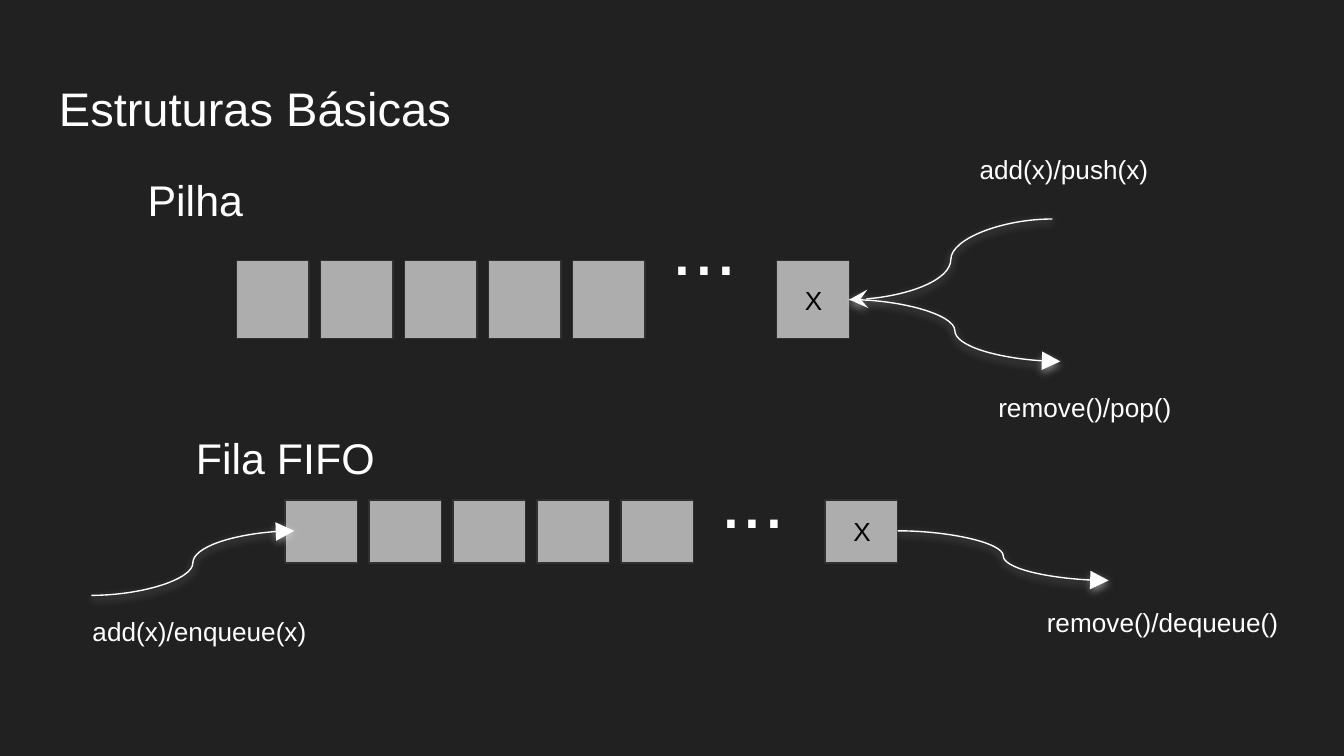
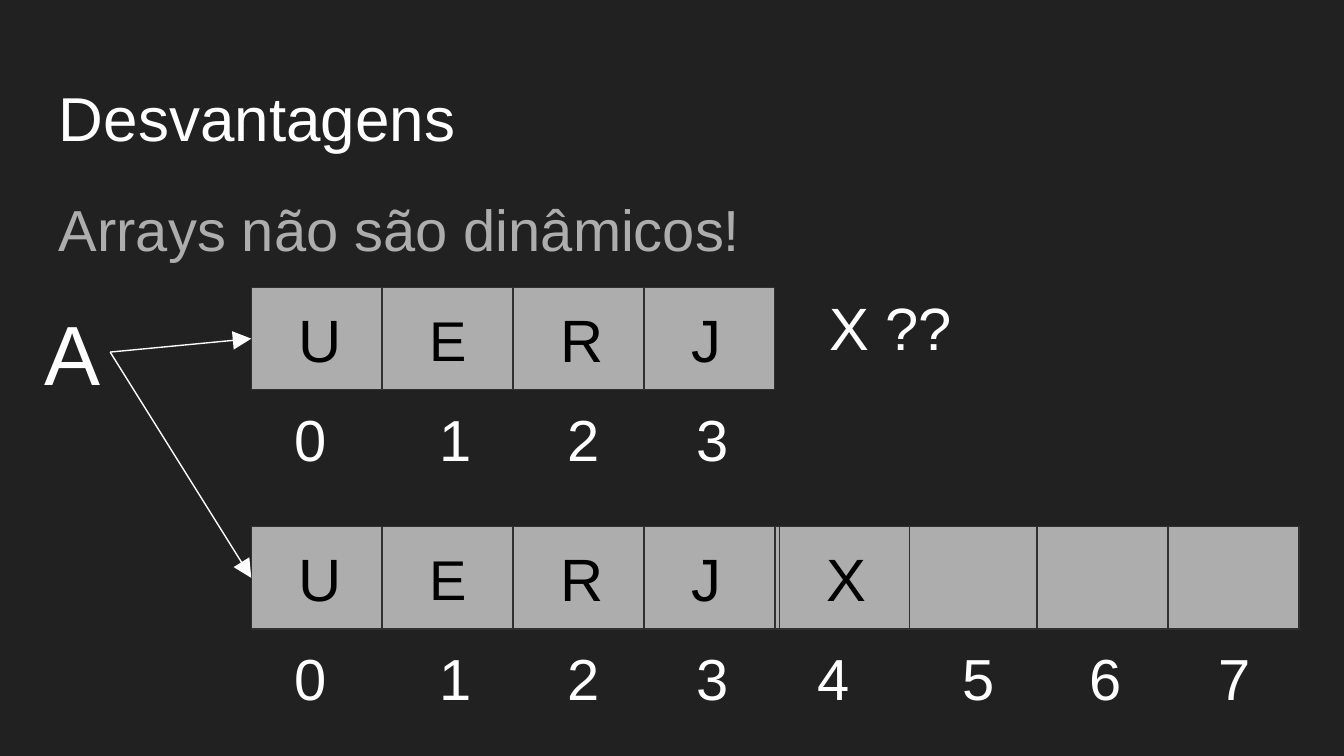
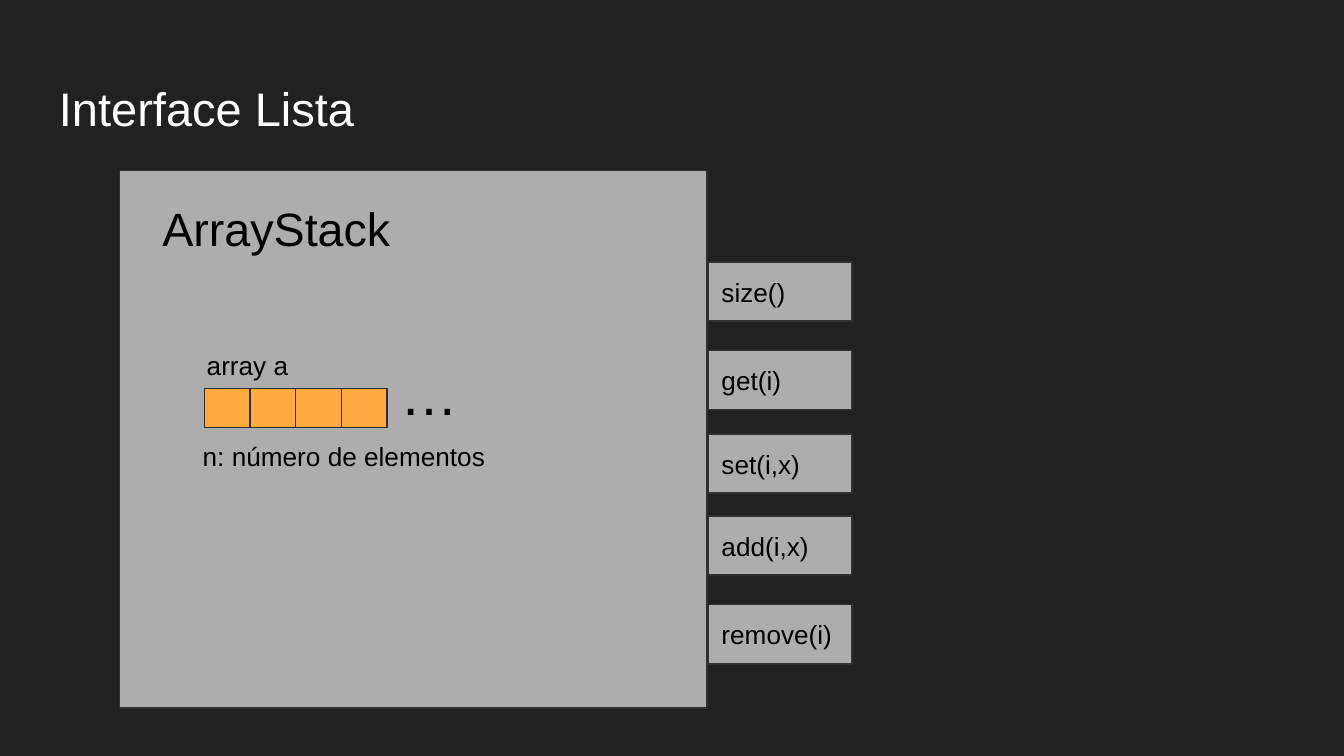
from dataclasses import dataclass

from lxml import etree
from pptx import Presentation
from pptx.dml.color import RGBColor
from pptx.enum.shapes import MSO_CONNECTOR, MSO_SHAPE
from pptx.enum.text import MSO_ANCHOR, PP_ALIGN
from pptx.oxml.ns import qn
from pptx.util import Inches, Pt

RECTANGLE = MSO_SHAPE.RECTANGLE
STRAIGHT, CURVE = MSO_CONNECTOR.STRAIGHT, MSO_CONNECTOR.CURVE
TOP, MIDDLE = MSO_ANCHOR.TOP, MSO_ANCHOR.MIDDLE
LEFT = PP_ALIGN.LEFT

# Shared look, 16:9
SLIDE_WIDTH = 10
SLIDE_HEIGHT = SLIDE_WIDTH * 9 / 16
FONT = "Arial"
BACKGROUND, WHITE, BLACK = "212121", "FFFFFF", "000000"
GREY, OUTLINE, ORANGE, GLOW = "ADADAD", "303030", "FFAB40", "EEEEEE"
INSET = 0.1
LINE_WIDTH = Pt(0.75)


@dataclass
class Label:
    text: str
    left: float
    top: float
    width: float
    height: float
    size: float = 14
    color: str = WHITE
    indent: float = 0


@dataclass
class Arrow:
    start: tuple[float, float]
    end: tuple[float, float]
    kind: int = CURVE
    tip_at: str = "headEnd"
    tip: str = "triangle"
    glow: bool = True


@dataclass
class Structure:
    """A row of slots with a heading, an ellipsis and a last slot X."""
    name: str
    left: float
    top: float
    slot_height: float
    heading_top: float
    dots_top: float
    arrows: list[Arrow]
    operations: list[Label]


def rgb(color: str) -> RGBColor:
    return RGBColor.from_string(color)


def write(shape, label: Label, anchor=TOP):
    """Put the label's text in a shape and return its paragraph."""
    frame = shape.text_frame
    frame.word_wrap = True
    frame.vertical_anchor = anchor
    frame.margin_left = Inches(INSET + label.indent)
    frame.margin_top = frame.margin_right = frame.margin_bottom = Inches(INSET)
    paragraph = frame.paragraphs[0]
    paragraph.text = label.text
    paragraph.alignment = LEFT
    font = paragraph.font
    font.name, font.size = FONT, Pt(label.size)
    font.color.rgb = rgb(label.color)
    return paragraph


def place(label: Label) -> list:
    return [Inches(v) for v in (label.left, label.top, label.width, label.height)]


def add_label(slide, label: Label):
    return write(slide.shapes.add_textbox(*place(label)), label)


def add_box(slide, label: Label, fill: str = GREY, outline: str = OUTLINE) -> None:
    box = slide.shapes.add_shape(RECTANGLE, *place(label))
    box.shadow.inherit = False
    box.fill.solid()
    box.fill.fore_color.rgb = rgb(fill)
    box.line.color.rgb = rgb(outline)
    box.line.width = LINE_WIDTH
    if label.text:
        write(box, label, MIDDLE)


def add_arrow(slide, arrow: Arrow) -> None:
    ends = [Inches(v) for v in (*arrow.start, *arrow.end)]
    connector = slide.shapes.add_connector(arrow.kind, *ends)
    connector.line.color.rgb = rgb(WHITE)
    connector.line.width = LINE_WIDTH
    outline = connector.line._get_or_add_ln()
    etree.SubElement(outline, qn(f"a:{arrow.tip_at}"), type=arrow.tip,
                     w="lg", len="lg")
    effects = etree.SubElement(connector._element.spPr, qn("a:effectLst"))
    if arrow.glow:
        shadow = etree.SubElement(
            effects, qn("a:outerShdw"), blurRad=str(Pt(4.5)), dist=str(Pt(1.5)),
            dir="5400000", algn="bl", rotWithShape="0")
        color = etree.SubElement(shadow, qn("a:srgbClr"), val=GLOW)
        etree.SubElement(color, qn("a:alpha"), val="50000")


def set_tabs(paragraph, stops: list[float]) -> None:
    tabs = etree.Element(qn("a:tabLst"))
    for stop in stops:
        etree.SubElement(tabs, qn("a:tab"), pos=str(Inches(stop)), algn="l")
    paragraph._p.get_or_add_pPr().insert(0, tabs)


def new_slide(deck, title: str, title_size: float = 25.2):
    slide = deck.slides.add_slide(deck.slide_layouts[6])
    slide.background.fill.solid()
    slide.background.fill.fore_color.rgb = rgb(BACKGROUND)
    add_label(slide, Label(title, 0.34, 0.49, 9.32, 0.63, title_size))
    return slide


# Slide 1: stack and queue
STACK = Structure(
    "Pilha", 1.76, 1.94, 0.58, 1.19, 1.37,
    [Arrow((7.83, 1.63), (6.32, 2.23), tip_at="tailEnd", tip="stealth"),
     Arrow((7.89, 2.69), (6.32, 2.23))],
    [Label("add(x)/push(x)", 7.19, 1.04, 1.63, 0.44),
     Label("remove()/pop()", 7.33, 2.81, 1.63, 0.44)])
QUEUE = Structure(
    "Fila FIFO", 2.12, 3.72, 0.47, 3.11, 3.25,
    [Arrow((2.19, 3.95), (0.68, 4.43)),
     Arrow((8.25, 4.32), (6.68, 3.95))],
    [Label("add(x)/enqueue(x)", 0.59, 4.48, 1.97, 0.44),
     Label("remove()/dequeue()", 7.69, 4.41, 2.31, 0.44)])


def add_structure(slide, structure: Structure) -> None:
    slot_pitch = 2.5 / 4
    slots = [("", i * slot_pitch) for i in range(5)] + [("X", 4.02)]
    for text, offset in slots:
        add_box(slide, Label(text, structure.left + offset, structure.top, 0.54,
                             structure.slot_height, 14, BLACK, 0.11))
    for arrow in structure.arrows:
        add_arrow(slide, arrow)
    for operation in structure.operations:
        add_label(slide, operation)
    add_label(slide, Label(structure.name, structure.left - 0.76,
                           structure.heading_top, 1.63, 0.59, 23))
    add_label(slide, Label("...", structure.left + 3.14,
                           structure.dots_top, 0.78, 0.91, 42))


def build_structures(deck) -> None:
    slide = new_slide(deck, "Estruturas Básicas")
    for structure in (STACK, QUEUE):
        add_structure(slide, structure)


# Slide 2: arrays of fixed length
ARRAY_LEFT, CELL_PITCH = 1.87, 7.8 / 8
CELL_WIDTH, CELL_HEIGHT = 0.97, 0.76
SHORT_TOP, LONG_TOP = 2.14, 3.92


def add_cell(slide, text: str, left: float, top: float) -> None:
    size = 30 if text == "E" else 32
    add_box(slide, Label(text, left, top, CELL_WIDTH, CELL_HEIGHT, size, BLACK, 0.25))


def add_cells(slide, letters: list[str], first: int, top: float) -> None:
    for i, letter in enumerate(letters, first):
        add_cell(slide, letter, ARRAY_LEFT + i * CELL_PITCH, top)


def add_indices(slide, first: int, left: float, top: float) -> None:
    numbers = "\t".join(str(i) for i in range(first, first + 4))
    paragraph = add_label(slide, Label(numbers, left, top + CELL_HEIGHT, 3.8, 0.72,
                                       31, indent=0.12))
    set_tabs(paragraph, [1.08, 2.03, 2.99])


def build_disadvantages(deck) -> None:
    slide = new_slide(deck, "Desvantagens", 33.2)
    statement = add_label(slide, Label("Arrays não são dinâmicos!", 0.34, 1.26,
                                       5.39, 0.88, 31, GREY))
    statement.line_spacing = 1.15
    statement.space_after = Pt(12)

    # Full array and the element that does not fit
    add_cells(slide, list("UERJ"), 0, SHORT_TOP)
    add_indices(slide, 0, 1.97, SHORT_TOP)
    add_box(slide, Label("X ??", 5.82, 2.05, 1.77, CELL_HEIGHT, 32, WHITE, 0.25),
            BACKGROUND, BACKGROUND)

    # Longer array that replaces it
    add_indices(slide, 0, 1.97, LONG_TOP)
    add_cells(slide, [""] * 4, 4, LONG_TOP)
    add_indices(slide, 4, 5.86, LONG_TOP)
    add_cells(slide, list("UERJ"), 0, LONG_TOP)
    add_cell(slide, "X", 5.8, LONG_TOP)

    # Reference A to both arrays
    add_label(slide, Label("A", 0.23, 2.14, 0.59, 0.96, 45))
    for target_y in (2.52, 4.3):
        add_arrow(slide, Arrow((0.82, 2.62), (ARRAY_LEFT, target_y), STRAIGHT,
                               "tailEnd", glow=False))


# Slide 3: list interface
METHODS = {"size()": 1.95, "get(i)": 2.61, "set(i,x)": 3.23,
           "add(i,x)": 3.84, "remove(i)": 4.5}


def build_interface(deck) -> None:
    slide = new_slide(deck, "Interface Lista")
    add_box(slide, Label("", 0.89, 1.27, 4.37, 4))
    add_label(slide, Label("ArrayStack", 1.11, 1.39, 2.25, 0.62, 25, BLACK))

    # Backing array and element count
    add_label(slide, Label("array a", 1.44, 2.5, 0.84, 0.44, 14, BLACK))
    for i in range(4):
        add_box(slide, Label("", 1.52 + i * 0.34, 2.89, 0.34, 0.29), ORANGE)
    add_label(slide, Label("n: número de elementos", 1.41, 3.18, 2.59, 0.44, 14, BLACK))
    add_label(slide, Label("…", 2.88, 2.56, 0.84, 0.72, 31, BLACK))

    for method, top in METHODS.items():
        add_box(slide, Label(method, 5.27, top, 1.07, 0.44, 14, BLACK))


def main() -> None:
    deck = Presentation()
    deck.slide_width, deck.slide_height = Inches(SLIDE_WIDTH), Inches(SLIDE_HEIGHT)
    build_structures(deck)
    build_disadvantages(deck)
    build_interface(deck)
    deck.save("out.pptx")


if __name__ == "__main__":
    main()
